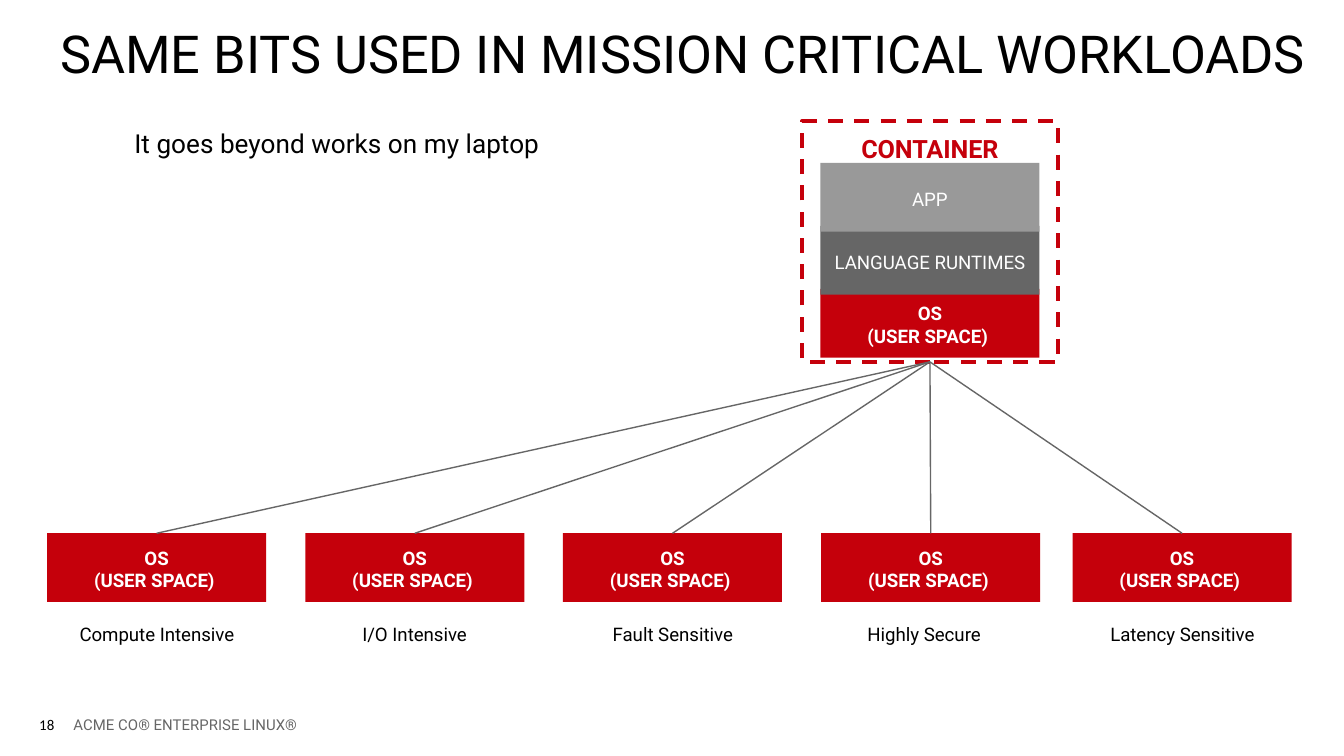
from lxml import etree
from pptx import Presentation
from pptx.dml.color import RGBColor
from pptx.enum import dml, shapes, text
from pptx.oxml.ns import qn
from pptx.util import Cm, Pt

RED = RGBColor(0xC5, 0x00, 0x0B)
DARK_GRAY = RGBColor(0x66, 0x66, 0x66)
LIGHT_GRAY = RGBColor(0x99, 0x99, 0x99)
WHITE = RGBColor(0xFF, 0xFF, 0xFF)
BLACK = RGBColor(0x00, 0x00, 0x00)

LEFT, CENTER, RIGHT = (text.PP_ALIGN.LEFT, text.PP_ALIGN.CENTER,
                       text.PP_ALIGN.RIGHT)
TOP, MIDDLE, BOTTOM = (text.MSO_ANCHOR.TOP, text.MSO_ANCHOR.MIDDLE,
                       text.MSO_ANCHOR.BOTTOM)

BLOCK_W, BLOCK_H = 4.14, 1.3
BLOCK_INSETS = (0.1, 0.1, 0.1, 0.05)
USER_SPACE = ["OS", "(USER SPACE) "]

# Workload: (label, block left, label left)
WORKLOADS = [
    ("Compute Intensive", 0.89, 1.02),
    ("I/O Intensive", 5.77, 5.89),
    ("Fault Sensitive", 10.64, 10.77),
    ("Highly Secure", 15.52, 15.52),
    ("Latency Sensitive", 20.27, 20.4),
]


def cm_box(box):
    return [Cm(length) for length in box]


def write(shape, lines, size=10, color=BLACK, bold=False, font="Roboto",
          align=LEFT, anchor=TOP, insets=(0.25, 0.25, 0.25, 0.25)):
    """Fill a shape with one paragraph per line."""
    frame = shape.text_frame
    frame.auto_size = text.MSO_AUTO_SIZE.NONE
    frame.word_wrap = True
    frame.vertical_anchor = anchor
    (frame.margin_left, frame.margin_top,
     frame.margin_right, frame.margin_bottom) = cm_box(insets)
    for index, line in enumerate(lines):
        paragraph = frame.paragraphs[0] if index == 0 else frame.add_paragraph()
        paragraph.alignment = align
        paragraph.space_before = Pt(0)
        run = paragraph.add_run()
        run.text = line
        run.font.name = font
        run.font.size = Pt(size)
        run.font.bold = bold
        run.font.color.rgb = color


def add_label(slide, box, line, **style):
    write(slide.shapes.add_textbox(*cm_box(box)), [line], **style)


def add_block(slide, box, lines, fill, **style):
    block = slide.shapes.add_shape(shapes.MSO_SHAPE.RECTANGLE, *cm_box(box))
    block.shadow.inherit = False
    block.fill.solid()
    block.fill.fore_color.rgb = fill
    block.line.fill.background()
    style = {"color": WHITE, "anchor": MIDDLE, "insets": BLOCK_INSETS, **style}
    write(block, lines, align=CENTER, **style)
    return block


def add_heading(slide, title_box, subtitle_box):
    title, subtitle = slide.shapes.title, slide.placeholders[1]
    for holder, box in ((title, title_box), (subtitle, subtitle_box)):
        holder.left, holder.top, holder.width, holder.height = cm_box(box)
    write(title, ["SAME BITS USED IN MISSION CRITICAL WORKLOADS"],
          size=28, anchor=BOTTOM)
    write(subtitle, ["It goes beyond works on my laptop"], size=14)


def add_container(slide, box):
    """Dashed frame around the stack; returns the frame."""
    left, top, width, height = box
    container = add_block(slide, box, ["CONTAINER"], WHITE, size=13.5,
                          color=RED, bold=True, anchor=TOP,
                          insets=(0.2, 0.23, 0.2, 0.2))
    container.line.color.rgb = RED
    container.line.width = Pt(2)
    container.line.dash_style = dml.MSO_LINE.DASH

    # Layers from the bottom up, each overlapping the one below
    layers = [(USER_SPACE, RED, True),
              (["LANGUAGE RUNTIMES"], DARK_GRAY, False),
              (["APP"], LIGHT_GRAY, False)]
    layer_left = left + (width - BLOCK_W) / 2
    for level, (lines, fill, bold) in enumerate(layers):
        layer_top = top + height - 1.38 - level * 1.19
        add_block(slide, (layer_left, layer_top, BLOCK_W, BLOCK_H),
                  lines, fill, bold=bold)
    return container


def add_link(slide, container, host):
    """Line from the container's bottom to the host's top."""
    link = slide.shapes.add_connector(shapes.MSO_CONNECTOR.STRAIGHT, 0, 0, 0, 0)
    link.begin_connect(container, 2)
    link.end_connect(host, 0)
    link.line.color.rgb = DARK_GRAY
    link.line.width = Pt(0.75)
    etree.SubElement(link._element.spPr, qn("a:effectLst"))


def add_workloads(slide, top, container):
    hosts = [add_block(slide, (left, top, BLOCK_W, BLOCK_H), USER_SPACE, RED,
                       bold=True)
             for _, left, _ in WORKLOADS]
    for host in hosts:
        add_link(slide, container, host)
    for workload, _, left in WORKLOADS:
        add_label(slide, (left, top + 1.45, 3.89, BLOCK_H), workload,
                  align=CENTER)


def add_footer(slide, top, height):
    add_label(slide, (1.14, top, 21.29, height), "ACME CO® ENTERPRISE LINUX®",
              size=8, color=DARK_GRAY, anchor=MIDDLE)
    add_label(slide, (0.28, top, 1, height), "18", size=8, font="Calibri",
              align=RIGHT, anchor=MIDDLE)


def main():
    deck = Presentation()
    deck.slide_width, deck.slide_height = Cm(25.4), Cm(14.29)
    slide = deck.slides.add_slide(deck.slide_layouts[0])
    add_footer(slide, 13.16, 1.09)
    add_heading(slide, (0.89, 0, 24.87, 1.83), (2.29, 2.16, 20.8, 0.91))
    container = add_container(slide, (15.16, 2.29, 4.83, 4.55))
    add_workloads(slide, 10.08, container)
    deck.save("out.pptx")


if __name__ == "__main__":
    main()
